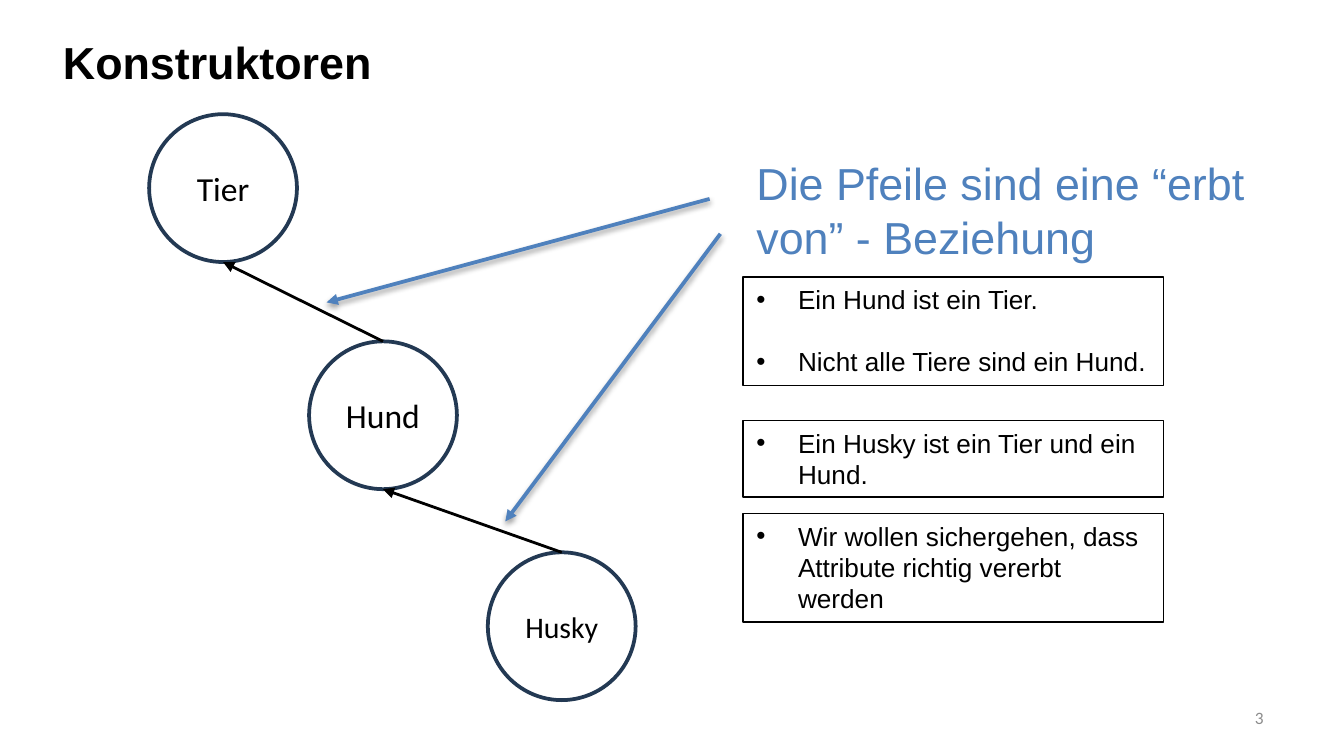
from lxml import etree
from pptx import Presentation
from pptx.dml.color import RGBColor
from pptx.enum import shapes, text
from pptx.oxml import ns
from pptx.util import Inches, Pt

BLACK = RGBColor(0x00, 0x00, 0x00)
WHITE = RGBColor(0xFF, 0xFF, 0xFF)
NAVY = RGBColor(0x23, 0x39, 0x53)
BLUE = RGBColor(0x4F, 0x81, 0xBD)
GRAY = RGBColor(0x8C, 0x8C, 0x8C)

SLIDE_WIDTH = Inches(10)
SLIDE_HEIGHT = SLIDE_WIDTH * 9 // 16

DIAMETER = 1.1
CLASSES = [
    ("Tier", 1.11, 0.85, 18),
    ("Hund", 2.3, 2.54, 18),
    ("Husky", 3.63, 4.11, 16),
]
POINTERS = [((5.28, 1.48), (2.43, 2.25)), ((5.36, 1.74), (3.76, 3.88))]
HEADINGS = [
    ("Konstruktoren", (0.37, 0.21, 9.03, 0.5), {"bold": True}, BLACK),
    ("Die Pfeile sind eine “erbt von” - Beziehung", (5.53, 1.11, 3.97, 0.91), {}, BLUE),
]
NOTE_LEFT, NOTE_WIDTH, NOTE_INDENT = 5.53, 3.13, 0.31
NOTES = [
    (2.06, 0.81, ["Ein Hund ist ein Tier.", "Nicht alle Tiere sind ein Hund."]),
    (3.13, 0.57, ["Ein Husky ist ein Tier und ein Hund."]),
    (3.82, 0.81, ["Wir wollen sichergehen, dass Attribute richtig vererbt werden"]),
]
PAGE_NUMBER = "3"


def add_element(parent, tag, **attributes):
    return etree.SubElement(parent, ns.qn(tag), attributes)


def set_attributes(target, values):
    for name, value in values.items():
        setattr(target, name, value)


def write(paragraph, words, color, **font):
    paragraph.text = words
    set_attributes(paragraph.font, font)
    paragraph.font.color.rgb = color


def add_text_box(box, anchor=text.MSO_ANCHOR.TOP):
    frame = slide.shapes.add_textbox(*map(Inches, box)).text_frame
    set_attributes(frame, {"word_wrap": True, "vertical_anchor": anchor})
    return frame


def add_outlined(preset, box, color, width):
    shape = slide.shapes.add_shape(preset, *map(Inches, box))
    shape.shadow.inherit = False
    shape.line.color.rgb = color
    shape.line.width = Pt(width)
    return shape


def add_arrow(start, end, color, width, shadow=False):
    arrow = slide.shapes.add_connector(
        shapes.MSO_CONNECTOR.STRAIGHT, *map(Inches, start + end))
    arrow.line.color.rgb = color
    arrow.line.width = Pt(width)
    add_element(arrow.line._get_or_add_ln(), "a:tailEnd", type="triangle")
    effects = add_element(arrow._element.spPr, "a:effectLst")
    if shadow:
        outer = add_element(effects, "a:outerShdw", blurRad=str(Pt(3.1)),
                            dist=str(Pt(1.6)), dir="5400000", rotWithShape="0")
        shade = add_element(outer, "a:srgbClr", val=str(BLACK))
        add_element(shade, "a:alpha", val="38000")


def add_bullet(paragraph):
    properties = paragraph._p.get_or_add_pPr()
    properties.set("marL", str(Inches(NOTE_INDENT)))
    properties.set("indent", str(-Inches(NOTE_INDENT)))
    color = add_element(properties, "a:buClr")
    add_element(color, "a:srgbClr", val=str(BLACK))
    add_element(properties, "a:buFont", typeface="Arial")
    add_element(properties, "a:buChar", char="•")


presentation = Presentation()
set_attributes(presentation, {"slide_width": SLIDE_WIDTH, "slide_height": SLIDE_HEIGHT})
slide = presentation.slides.add_slide(presentation.slide_layouts[6])

number = add_text_box((7.17, 5.21, 2.33, 0.3), text.MSO_ANCHOR.MIDDLE).paragraphs[0]
set_attributes(number, {"alignment": text.PP_ALIGN.RIGHT, "line_spacing": 0.7,
                        "space_after": Pt(6)})
write(number, PAGE_NUMBER, GRAY, name="Calibri", size=Pt(9.3))

for name, left, top, size in CLASSES:
    circle = add_outlined(shapes.MSO_SHAPE.OVAL, (left, top, DIAMETER, DIAMETER), NAVY, 2)
    circle.fill.solid()
    circle.fill.fore_color.rgb = WHITE
    circle.text_frame.vertical_anchor = text.MSO_ANCHOR.MIDDLE
    label = circle.text_frame.paragraphs[0]
    label.alignment = text.PP_ALIGN.CENTER
    write(label, name, BLACK, name="Calibri", size=Pt(size))

radius = DIAMETER / 2
for (_, left, top, _), (_, child_left, child_top, _) in zip(CLASSES, CLASSES[1:]):
    add_arrow((child_left + radius, child_top), (left + radius, top + DIAMETER), BLACK, 1.5)

for words, box, style, color in HEADINGS:
    write(add_text_box(box).paragraphs[0], words, color, name="Arial", size=Pt(24), **style)

for start, end in POINTERS:
    add_arrow(start, end, BLUE, 2, shadow=True)

for top, height, lines in NOTES:
    note = add_outlined(shapes.MSO_SHAPE.RECTANGLE,
                        (NOTE_LEFT, top, NOTE_WIDTH, height), BLACK, 0.75)
    note.fill.background()
    frame = note.text_frame
    set_attributes(frame, {"word_wrap": True, "vertical_anchor": text.MSO_ANCHOR.TOP})
    for index, words in enumerate(lines):
        paragraph = frame.add_paragraph() if index else frame.paragraphs[0]
        add_bullet(paragraph)
        paragraph.alignment = text.PP_ALIGN.LEFT
        if index:
            paragraph.space_before = Pt(16.5)
        write(paragraph, words, BLACK, name="Arial", size=Pt(14))

presentation.save("out.pptx")
